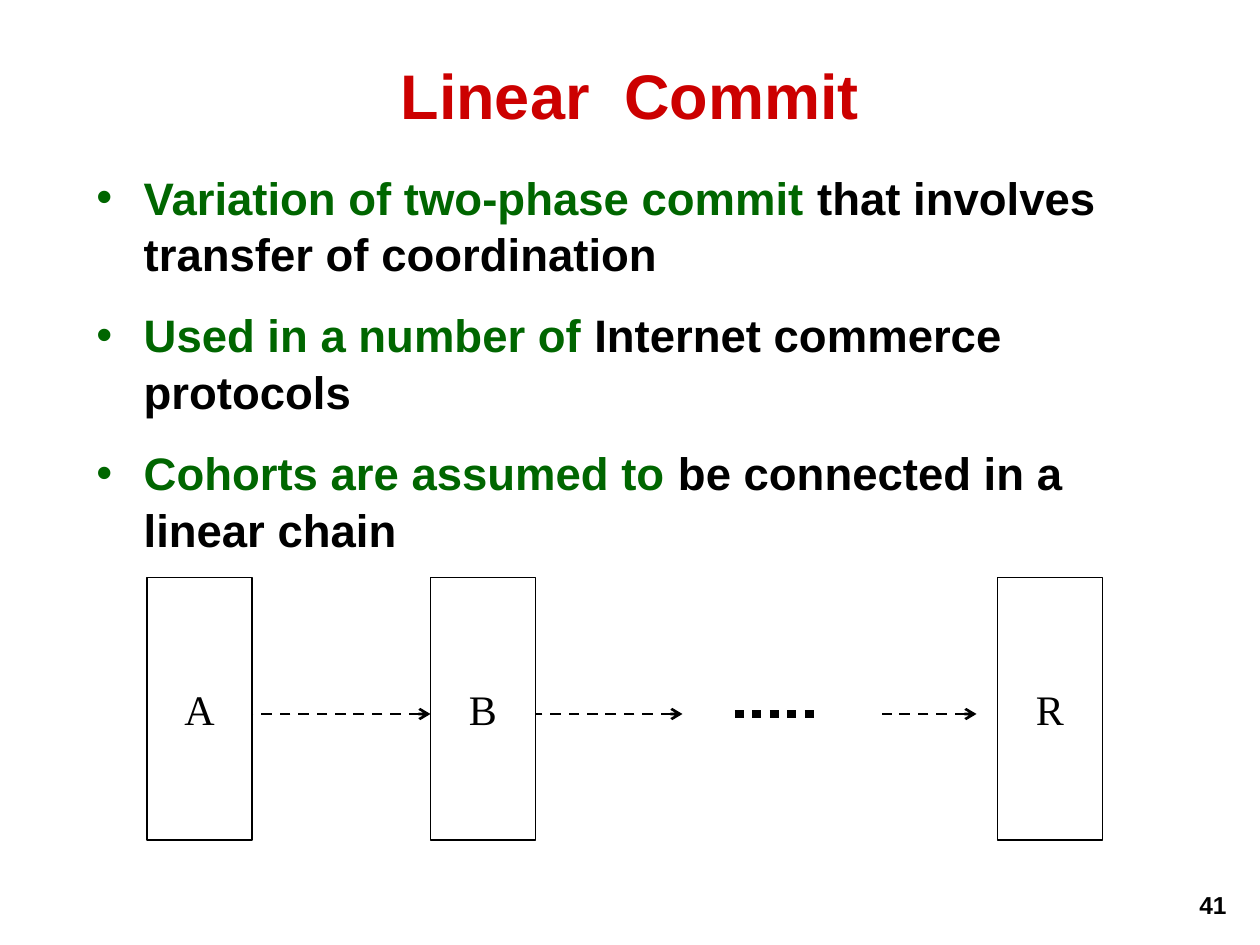
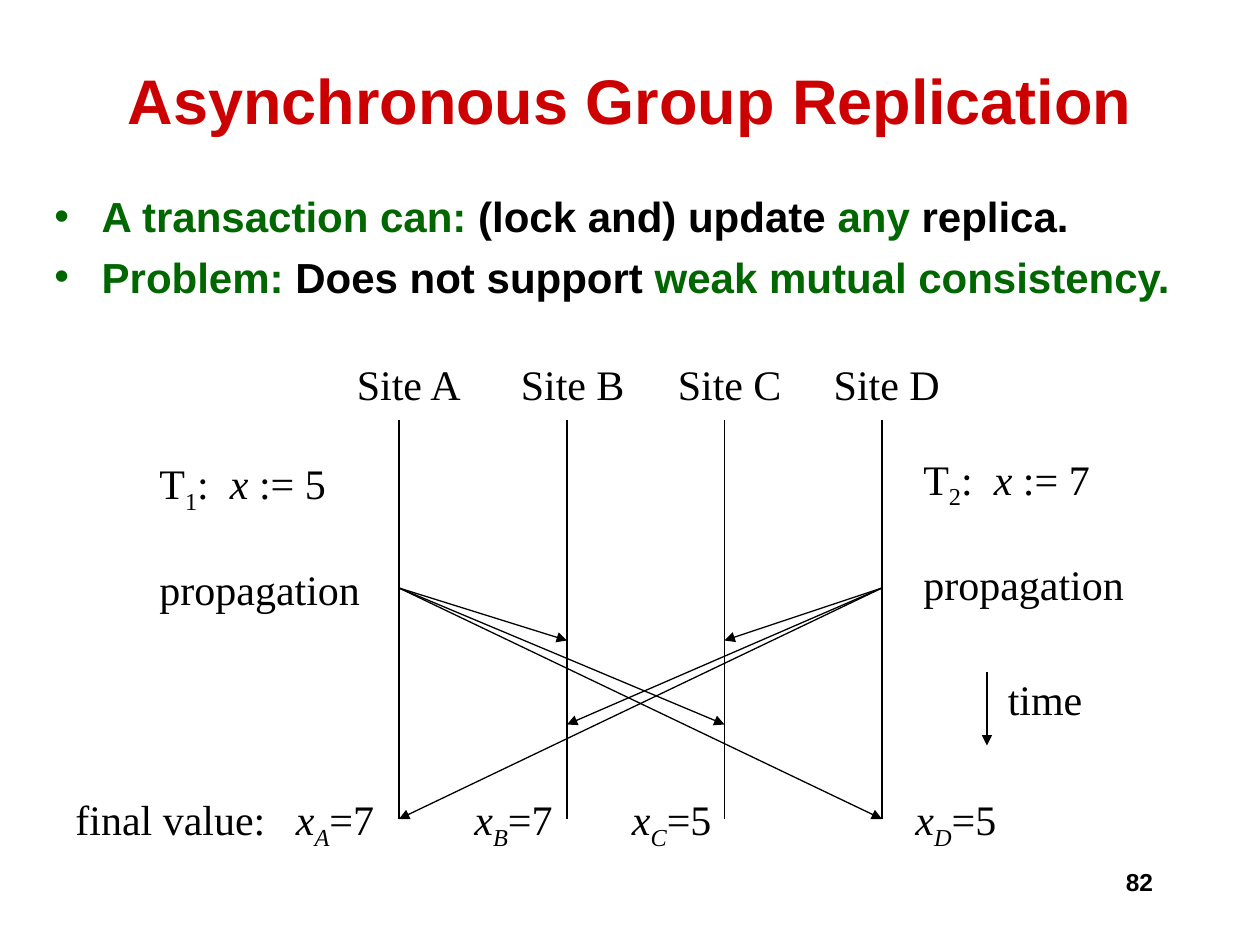
import pptx
import pptx.util
import pptx.dml.color
import pptx.enum.dml
import pptx.enum.shapes
import pptx.enum.text
from lxml import etree
from pptx.oxml.ns import qn

Pt = pptx.util.Pt
ALIGN = pptx.enum.text.PP_ALIGN
DASH = pptx.enum.dml.MSO_LINE

# Shared look
HEX = {"red": "CC0000", "green": "006600", "ink": "000000", "paper": "FFFFFF"}
SANS, SERIF = "Arial", "Times New Roman"

# Content: runs are (text, style); g green, i italic, s subscript
LINEAR = {
    "title": "Linear  Commit", "head": (54, 24, 612, 60),
    "page": "41", "foot": (558, 505, 150, 36),
    "body": (48, 92.5, 625, 234), "size": 26, "gap": 14.5,
    "items": [
        [("Variation of two-phase commit ", "g"),
         ("that involves transfer of coordination", "")],
        [("Used in a number of ", "g"), ("Internet commerce protocols", "")],
        [("Cohorts are assumed to ", "g"),
         ("be connected in a linear chain", "")],
    ],
}
GROUP = {
    "title": "Asynchronous Group Replication", "head": (42, 24, 636, 66),
    "page": "82", "foot": (516, 492, 150, 36),
    "body": (24, 104.5, 666, 84), "size": 24, "gap": 5,
    "items": [
        [("A transaction can: ", "g"), ("(lock and) update ", ""),
         ("any", "g"), (" replica.", "")],
        [("Problem: ", "g"), ("Does not support", ""),
         (" weak mutual consistency.", "g")],
    ],
}
CHAIN = [("A", 84), ("B", 246), ("R", 570)]
HOPS = [(246, 144), (390, 306), (558, 504)]
# Site name, line x, label left, final value, value left
SITES = [("A", 228, 196.8, 7, 162), ("B", 324, 290.5, 7, 264),
         ("C", 414, 380.2, 5, 354), ("D", 504, 469.3, 5, 516)]
# Transaction number, value written, left, top
WRITES = [(1, 5, 84, 258), (2, 7, 520.5, 255.5)]
START, STOPS = 336, (366, 414, 468)


def rgb(name):
    return pptx.dml.color.RGBColor.from_string(HEX[name])


def put(para, runs, size, face, bold=False, tint="ink"):
    for words, style in runs:
        run = para.add_run()
        run.text = words
        font = run.font
        font.size, font.name, font.bold = Pt(size), face, bold
        font.italic = "i" in style
        font.color.rgb = rgb("green" if "g" in style else tint)
        if "s" in style:
            run._r.get_or_add_rPr().set("baseline", "-25000")


def text(slide, box, paras, size=24, face=SERIF, gap=0, align=ALIGN.LEFT,
         mid=False, **look):
    frame = slide.shapes.add_textbox(*map(Pt, box)).text_frame
    frame.word_wrap = True
    if mid:
        frame.vertical_anchor = pptx.enum.text.MSO_ANCHOR.MIDDLE
    for n, runs in enumerate(paras):
        para = frame.add_paragraph() if n else frame.paragraphs[0]
        para.alignment = align
        para.space_before = Pt(gap if n else 0)
        put(para, runs, size, face, **look)
    return frame


def line(slide, start, end, width=0.75, dash=None, tip=None):
    link = slide.shapes.add_connector(
        pptx.enum.shapes.MSO_CONNECTOR.STRAIGHT, *map(Pt, start + end))
    link.line.color.rgb = rgb("ink")
    link.line.width = Pt(width)
    if dash:
        link.line.dash_style = dash
    if tip:
        tag, kind = tip
        etree.SubElement(link.line._get_or_add_ln(), qn(tag), type=kind)
    etree.SubElement(link._element.spPr, qn("a:effectLst"))


def page(deck, data):
    slide = deck.slides.add_slide(deck.slide_layouts[6])
    text(slide, data["foot"], [[(data["page"], "")]], 14, SANS,
         align=ALIGN.RIGHT, bold=True)
    text(slide, data["head"], [[(data["title"], "")]], 36, SANS,
         align=ALIGN.CENTER, mid=True, bold=True, tint="red")
    frame = text(slide, data["body"], data["items"], data["size"], SANS,
                 data["gap"], bold=True)
    for para in frame.paragraphs:
        para.line_spacing = 1.035
        props = para._p.get_or_add_pPr()
        props.set("marL", str(Pt(27)))
        props.set("indent", str(Pt(-27)))
        etree.SubElement(props, qn("a:buFont"), typeface=SANS)
        etree.SubElement(props, qn("a:buChar"), char="•")
    return slide


def chain(slide):
    # Cohort boxes
    for name, left in CHAIN:
        box = slide.shapes.add_shape(pptx.enum.shapes.MSO_SHAPE.RECTANGLE,
                                     *map(Pt, (left, 330, 60, 150)))
        box.shadow.inherit = False
        box.fill.solid()
        box.fill.fore_color.rgb = rgb("paper")
        box.line.color.rgb = rgb("ink")
        box.line.width = Pt(0.75)
        frame = box.text_frame
        frame.word_wrap = False
        frame.vertical_anchor = pptx.enum.text.MSO_ANCHOR.MIDDLE
        frame.paragraphs[0].alignment = ALIGN.CENTER
        put(frame.paragraphs[0], [(name, "")], 24, SERIF)
    # Hand-over arrows and the dots between them
    for tip, tail in HOPS:
        line(slide, (tip, 408), (tail, 408), 1.5, DASH.DASH,
             ("a:headEnd", "arrow"))
    line(slide, (420, 408), (468, 408), 5, DASH.ROUND_DOT)


def sites(slide):
    arrow = ("a:tailEnd", "triangle")
    # Site time lines, names and final values
    for name, x, left, value, spot in SITES:
        line(slide, (x, 240), (x, 468))
        text(slide, (left, 201.6, 85, 36), [[("Site " + name, "")]])
        text(slide, (spot, 450, 70, 36),
             [[("x", "i"), (name, "is"), (f"={value}", "")]])
    text(slide, (36, 450, 126, 36), [[("final value:", "")]])
    # Transactions
    for num, value, left, top in WRITES:
        text(slide, (left, top, 135, 94),
             [[("T", ""), (str(num), "s"), (":  ", ""), ("x", "i"),
               (f" := {value}", "")], [("propagation", "")]], gap=27.5)
    # Updates fan out from each outer site to all the others
    spots = [site[1] for site in SITES]
    for first, *rest in (spots, spots[::-1]):
        for x, y in zip(rest, STOPS):
            line(slide, (first, START), (x, y), tip=arrow)
    # Time axis
    line(slide, (564, 384), (564, 426), tip=arrow)
    text(slide, (568.8, 381.6, 65, 36), [[("time", "")]])


def main():
    deck = pptx.Presentation()
    deck.slide_width, deck.slide_height = Pt(720), Pt(540)
    chain(page(deck, LINEAR))
    sites(page(deck, GROUP))
    deck.save("out.pptx")


if __name__ == "__main__":
    main()
